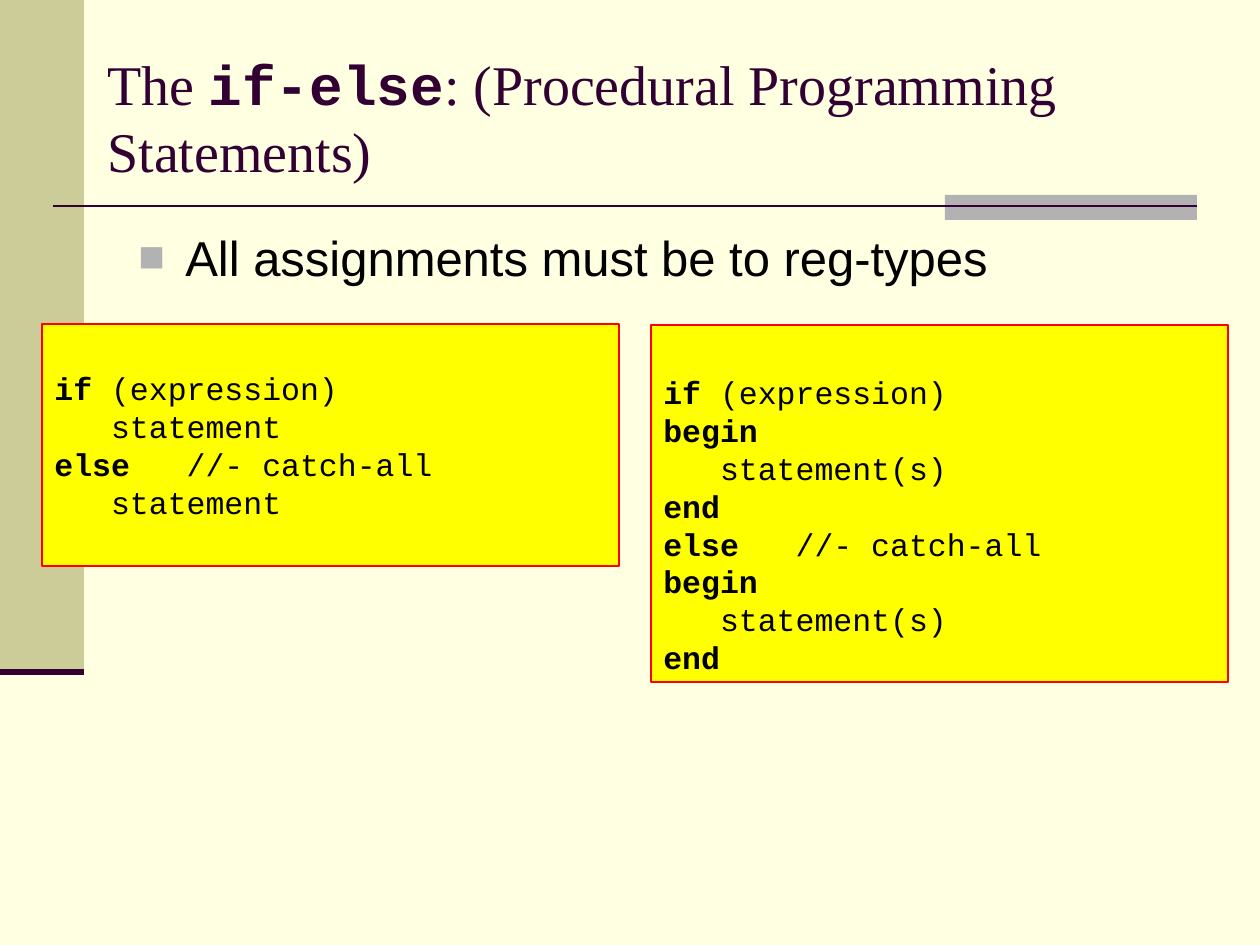
from lxml.etree import SubElement
from pptx import Presentation
from pptx.dml.color import RGBColor
from pptx.enum.shapes import MSO_CONNECTOR, MSO_SHAPE
from pptx.enum.text import MSO_ANCHOR, PP_ALIGN
from pptx.oxml.ns import qn
from pptx.util import Emu, Pt

SCALE = 914400 / 126
COLORS = {
    "page": "FFFFE1", "band": "CCCC99", "tab": "B2B2B2", "plum": "330033",
    "code": "FFFF00", "edge": "FF0000", "text": "000000",
}
SERIF, SANS, MONO = "Times New Roman", "Arial", "Courier New"


def px(num):
    return Emu(round(num * SCALE))


def rgb(name):
    return RGBColor.from_string(COLORS[name])


def add_rect(slide, box, fill, edge=None):
    rect = slide.shapes.add_shape(MSO_SHAPE.RECTANGLE, *map(px, box))
    rect.shadow.inherit = False
    rect.fill.solid()
    rect.fill.fore_color.rgb = rgb(fill)
    if edge:
        rect.line.color.rgb = rgb(edge)
        rect.line.width = Pt(0.75)
    else:
        rect.line.fill.background()
    return rect


def add_rule(slide, left, right, y, width):
    rule = slide.shapes.add_connector(
        MSO_CONNECTOR.STRAIGHT, px(left), px(y), px(right), px(y))
    rule.line.color.rgb = rgb("plum")
    rule.line.width = Pt(width)
    SubElement(rule._element.spPr, qn("a:effectLst"))


def add_run(para, text, size, font, color, bold=False):
    run = para.add_run()
    run.text = text
    run.font.size = Pt(size)
    run.font.name = font
    run.font.bold = bold
    run.font.color.rgb = rgb(color)


def add_box(slide, box, anchor):
    frame = slide.shapes.add_textbox(*map(px, box)).text_frame
    frame.word_wrap = True
    frame.vertical_anchor = anchor
    return frame.paragraphs[0]


def add_title(slide):
    para = add_box(slide, (95, 38, 1102, 157), MSO_ANCHOR.MIDDLE)
    add_run(para, "The ", 32, SERIF, "plum")
    add_run(para, "if-else", 32, MONO, "plum", True)
    add_run(para, ": (Procedural Programming Statements)", 32, SERIF, "plum")


def add_bullet(slide, text):
    para = add_box(slide, (126, 221, 1071, 623), MSO_ANCHOR.TOP)
    add_run(para, text, 28, SANS, "text")
    props = para._p.get_or_add_pPr()
    props.set("marL", str(px(47)))
    props.set("indent", str(px(-47)))
    space = SubElement(props, qn("a:spcBef"))
    SubElement(space, qn("a:spcPct"), val="20000")
    color = SubElement(props, qn("a:buClr"))
    SubElement(color, qn("a:srgbClr"), val=COLORS["tab"])
    SubElement(props, qn("a:buSzPct"), val="90000")
    SubElement(props, qn("a:buFont"), typeface=SANS)
    SubElement(props, qn("a:buChar"), char="■")


def add_code(slide, box, lines, anchor):
    """Each line is a pair: bold keyword, plain rest."""
    frame = add_rect(slide, box, "code", "edge").text_frame
    frame.word_wrap = True
    frame.vertical_anchor = anchor
    for i, (key, rest) in enumerate(lines):
        para = frame.add_paragraph() if i else frame.paragraphs[0]
        para.alignment = PP_ALIGN.LEFT
        for text, bold in ((key, True), (rest, False)):
            if text:
                add_run(para, text, 18, MONO, "text", bold)


def main():
    deck = Presentation()
    deck.slide_width, deck.slide_height = px(1260), px(945)
    slide = deck.slides.add_slide(deck.slide_layouts[6])
    slide.background.fill.solid()
    slide.background.fill.fore_color.rgb = rgb("page")

    add_rect(slide, (0, 0, 84, 672), "band")
    add_rect(slide, (945, 195, 252, 25), "tab")
    add_rule(slide, 53, 1197, 206, 1.5)
    add_rule(slide, 0, 84, 672, 3.5)
    add_title(slide)
    add_bullet(slide, "All assignments must be to reg-types")

    test = ("if ", "(expression)")
    other = ("else", "   //- catch-all")
    single = ("", "   statement")
    block = [("begin", ""), ("", "   statement(s)"), ("end", "")]
    add_code(slide, (42, 324, 577, 242),
             [test, single, other, single], MSO_ANCHOR.MIDDLE)
    add_code(slide, (651, 325, 577, 357),
             [test, *block, other, *block], MSO_ANCHOR.BOTTOM)
    deck.save("out.pptx")


if __name__ == "__main__":
    main()
